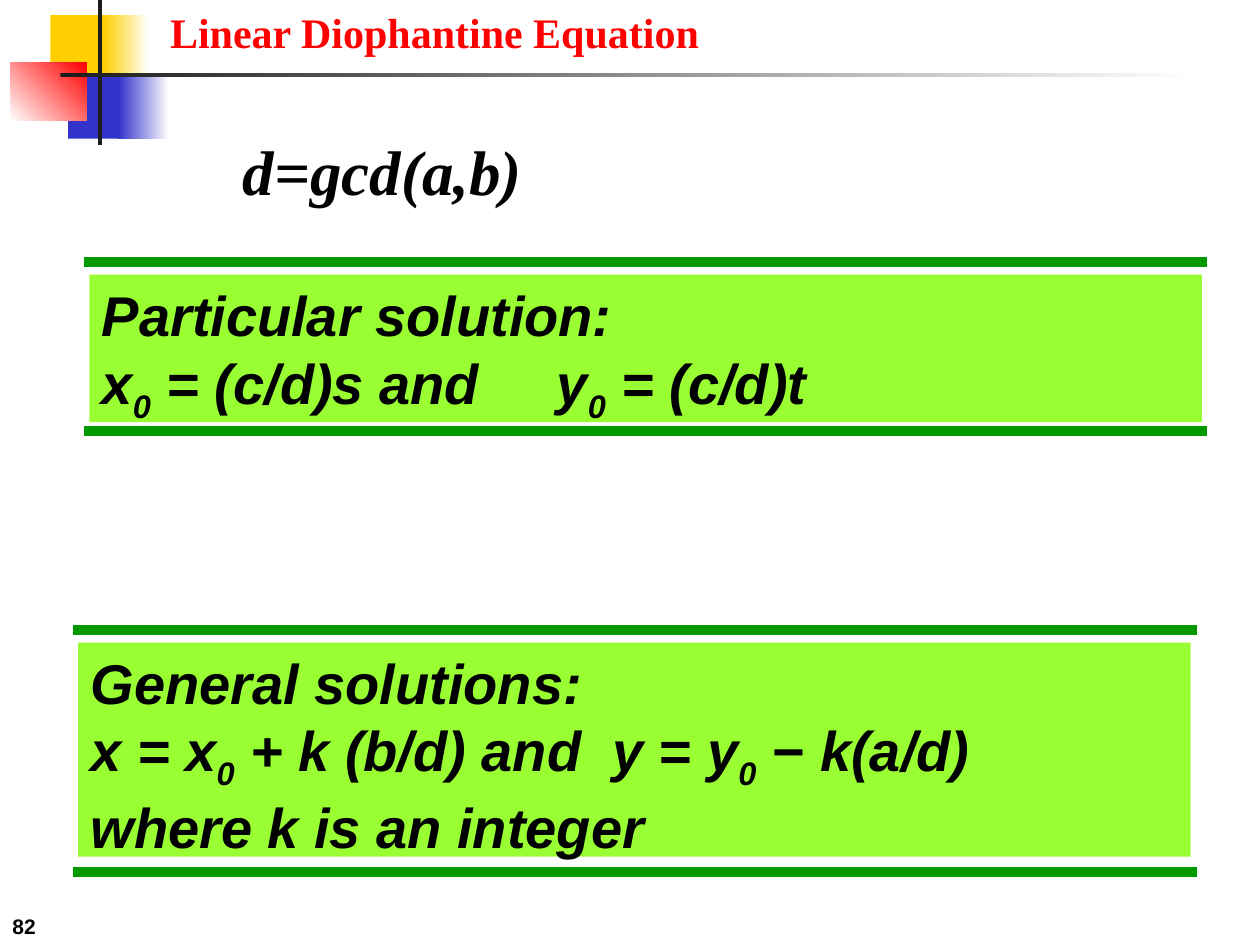
from dataclasses import dataclass
from typing import Optional

import pptx
import pptx.dml.color
import pptx.enum.shapes
import pptx.enum.text
import pptx.oxml
import pptx.oxml.ns
import pptx.util

Inches = pptx.util.Inches
RGB = pptx.dml.color.RGBColor
Anchor = pptx.enum.text.MSO_ANCHOR

WHITE = RGB(0xFF, 0xFF, 0xFF)
BLACK = RGB(0x00, 0x00, 0x00)
INK = RGB(0x1C, 0x1C, 0x1C)
YELLOW = RGB(0xFF, 0xCF, 0x01)
BLUE = RGB(0x33, 0x33, 0xCC)
RED = RGB(0xFF, 0x00, 0x00)
GREEN = RGB(0x00, 0x99, 0x00)
LIME = RGB(0x99, 0xFF, 0x33)


@dataclass
class Tile:
    left: float
    top: float
    width: float
    height: float
    color: RGB
    fade_to: Optional[RGB] = None
    angle: float = 0


@dataclass
class Panel:
    left: float
    top: float
    height: float
    rule_left: float
    rule_right: float
    rules: tuple[float, float]
    tab: float
    lines: list[str]


# Lines mark subscripts as _0_ and the gap before y as a tab
TILES = [
    Tile(0.4, 0.12, 0.48, 0.52, YELLOW),
    Tile(0.82, 0.12, 0.36, 0.52, YELLOW, WHITE),
    Tile(0.54, 0.58, 0.46, 0.52, BLUE),
    Tile(0.94, 0.58, 0.4, 0.52, BLUE, WHITE),
    Tile(0.08, 0.5, 0.61, 0.46, WHITE, RED, 45),
    Tile(0.78, 0, 0.03, 1.15, INK),
    Tile(0.48, 0.58, 9, 0.03, INK, WHITE),
]
PANELS = [
    Panel(0.71, 2.18, 1.17, 0.67, 9.58, (2.08, 3.42), 3.61,
          ["Particular solution:", "x_0_ = (c/d)s and\ty_0_ = (c/d)t"]),
    Panel(0.62, 5.1, 1.7, 0.58, 9.5, (5, 6.92), 4.14,
          ["General solutions:", "x = x_0_ + k (b/d) and\ty = y_0_ − k(a/d)",
           "where k is an integer"]),
]


def write(sp, lines: list[str], *, size: float, font: str = "Arial",
          color: RGB = BLACK, italic: bool = False, wrap: bool = True,
          anchor=Anchor.TOP, tab: Optional[float] = None) -> None:
    """Fill a shape with bold, left-aligned lines."""
    tf = sp.text_frame
    tf.word_wrap = wrap
    tf.auto_size = pptx.enum.text.MSO_AUTO_SIZE.NONE
    tf.vertical_anchor = anchor
    for i, line in enumerate(lines):
        p = tf.add_paragraph() if i else tf.paragraphs[0]
        p.alignment = pptx.enum.text.PP_ALIGN.LEFT
        if tab and "\t" in line:
            p._p.get_or_add_pPr().append(pptx.oxml.parse_xml(
                f'<a:tabLst {pptx.oxml.ns.nsdecls("a")}>'
                f'<a:tab pos="{Inches(tab)}" algn="l"/></a:tabLst>'))
        for j, part in enumerate(line.split("_")):
            r = p.add_run()
            r.text = part
            r.font.name = font
            r.font.size = pptx.util.Pt(size)
            r.font.bold = True
            r.font.italic = italic
            r.font.color.rgb = color
            if j % 2:
                r.font._element.set("baseline", "-25000")


def add_tile(slide, tile: Tile):
    sp = slide.shapes.add_shape(
        pptx.enum.shapes.MSO_SHAPE.RECTANGLE, Inches(tile.left),
        Inches(tile.top), Inches(tile.width), Inches(tile.height))
    sp.shadow.inherit = False
    sp.line.fill.background()
    if tile.fade_to is None:
        sp.fill.solid()
        sp.fill.fore_color.rgb = tile.color
    else:
        sp.fill.gradient()
        sp.fill.gradient_angle = tile.angle
        for stop, color, at in zip(sp.fill.gradient_stops,
                                   (tile.color, tile.fade_to), (0, 1)):
            stop.color.rgb = color
            stop.position = at
    return sp


def add_rule(slide, left: float, right: float, y: float) -> None:
    line = slide.shapes.add_connector(
        pptx.enum.shapes.MSO_CONNECTOR.STRAIGHT,
        Inches(left), Inches(y), Inches(right), Inches(y))
    line.line.color.rgb = GREEN
    line.line.width = pptx.util.Pt(6)
    line._element.spPr.append(pptx.oxml.parse_xml(
        f'<a:effectLst {pptx.oxml.ns.nsdecls("a")}/>'))


def add_panel(slide, panel: Panel) -> None:
    for y in panel.rules:
        add_rule(slide, panel.rule_left, panel.rule_right, y)
    sp = add_tile(slide, Tile(panel.left, panel.top, 8.83, panel.height, LIME))
    write(sp, panel.lines, size=32, italic=True, tab=panel.tab)


def add_text(slide, left: float, top: float, width: float, height: float,
             text: str, **style) -> None:
    sp = slide.shapes.add_textbox(Inches(left), Inches(top),
                                  Inches(width), Inches(height))
    write(sp, [text], **style)


def main() -> None:
    prs = pptx.Presentation()
    prs.slide_width, prs.slide_height = Inches(10), Inches(7.5)
    slide = prs.slides.add_slide(prs.slide_layouts[5])

    # Title
    title = slide.shapes.title
    title.left, title.top = Inches(1.25), Inches(0)
    title.width, title.height = Inches(4.41), Inches(0.5)
    write(title, ["Linear Diophantine Equation"], size=24,
          font="Times New Roman", color=RED, wrap=False)

    # Corner decoration
    for tile in TILES:
        add_tile(slide, tile)

    # Solutions
    for panel in PANELS:
        add_panel(slide, panel)

    # Definition of d and page number
    add_text(slide, 1.83, 1, 2.92, 0.71, "d=gcd(a,b)", size=36,
             font="Times New Roman", italic=True)
    add_text(slide, 0, 7, 2.08, 0.5, "82", size=12, anchor=Anchor.BOTTOM)

    prs.save("out.pptx")


if __name__ == "__main__":
    main()
